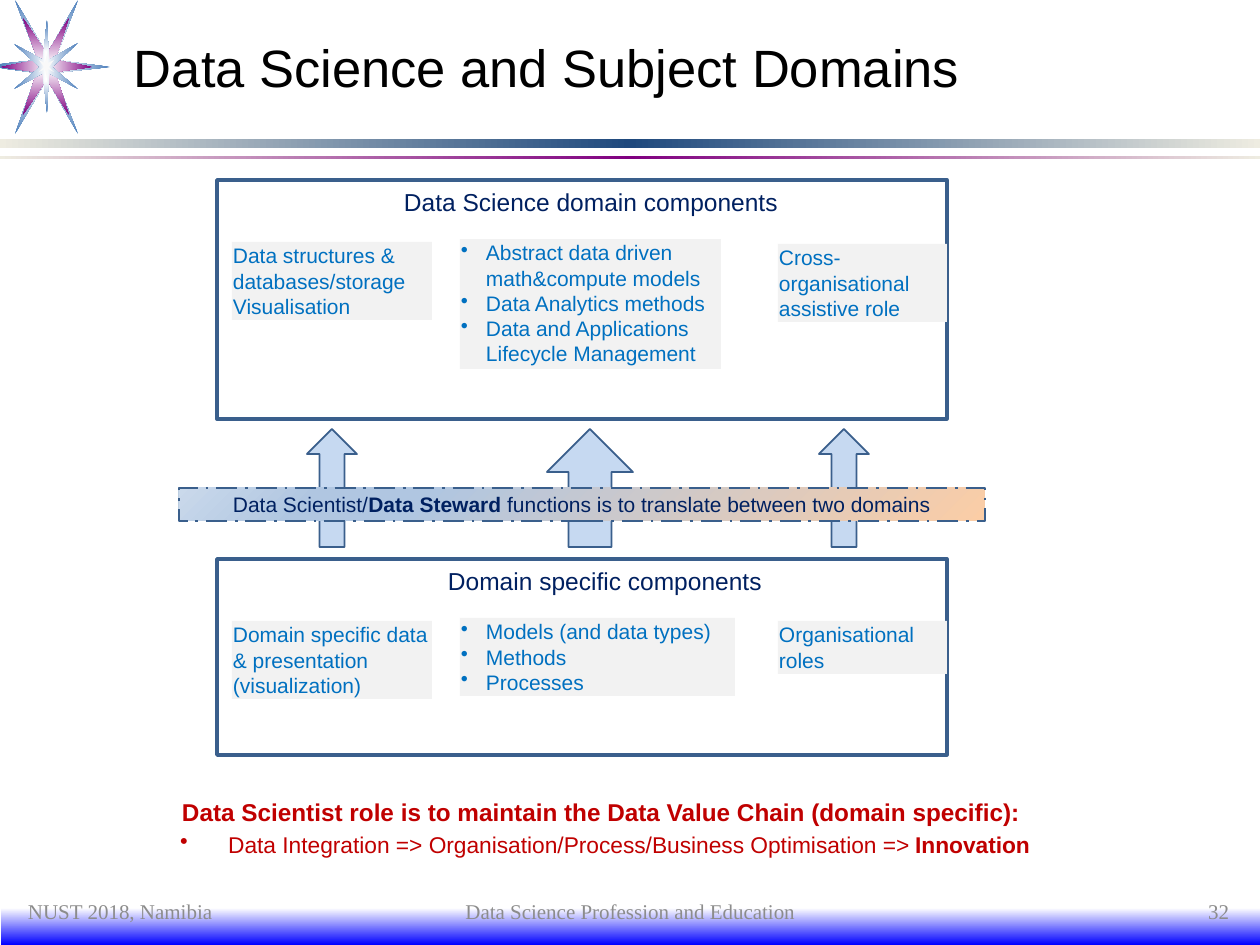
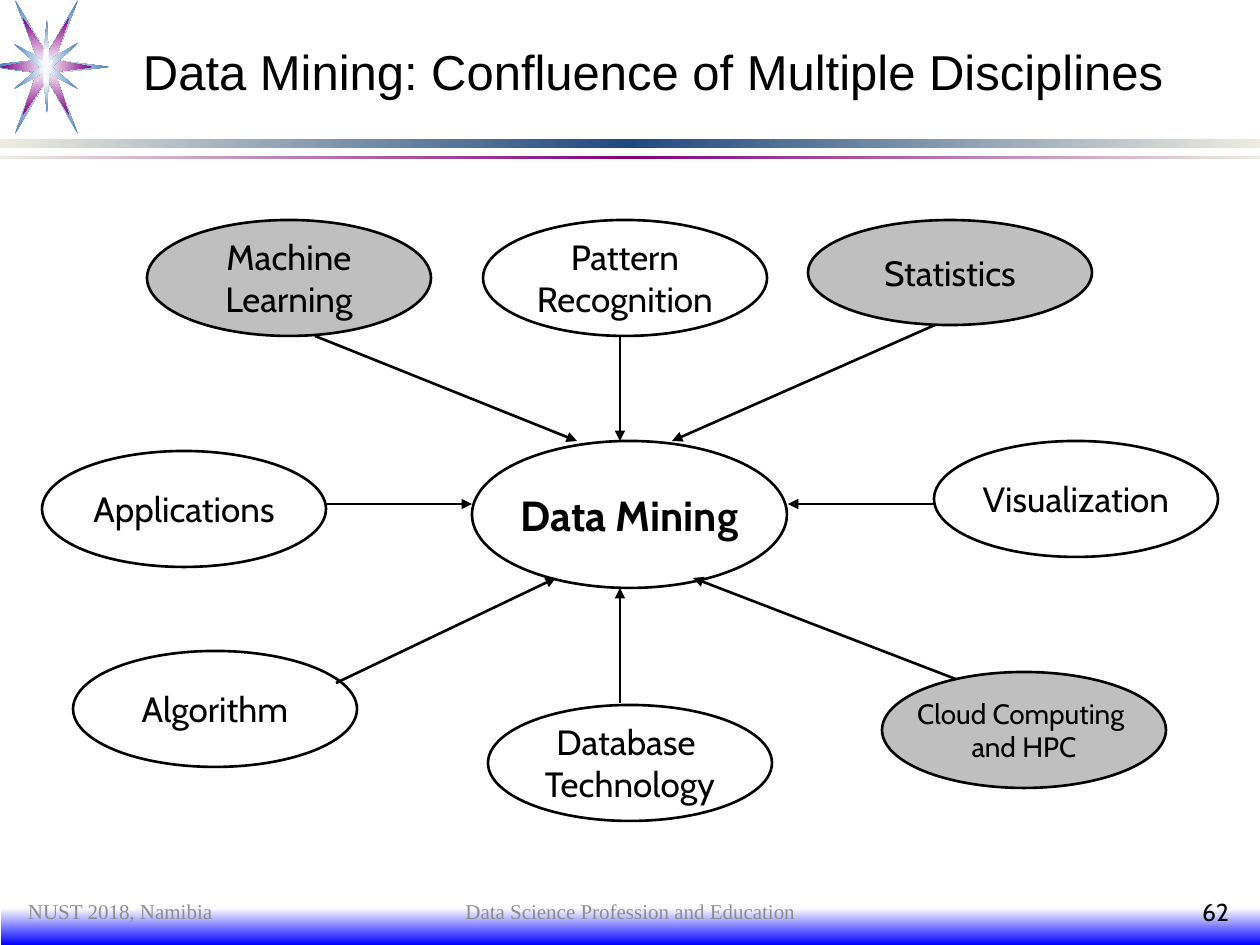
import dataclasses

import pptx
import pptx.dml.color
import pptx.enum.dml
import pptx.enum.shapes
import pptx.enum.text
import pptx.oxml
import pptx.oxml.ns
import pptx.util

PX = 914400 / 126  # EMU in one px
SHAPE = pptx.enum.shapes.MSO_SHAPE
ALIGN = pptx.enum.text.PP_ALIGN
ANCHOR = pptx.enum.text.MSO_ANCHOR
RGB = pptx.dml.color.RGBColor.from_string
qn = pptx.oxml.ns.qn


@dataclasses.dataclass(frozen=True)
class Theme:
    sans: str = "Arial"
    diagram: str = "Cabin"
    serif: str = "Times New Roman"
    black: str = "000000"
    white: str = "FFFFFF"
    footer_grey: str = "8C8C8C"
    card_grey: str = "F2F2F2"
    focus_grey: str = "BFBFBF"
    navy: str = "002060"
    card_blue: str = "0070C0"
    outline_blue: str = "3A5F8C"
    arrow_blue: str = "C6D9F1"
    red: str = "C00000"
    footer_fade: tuple = ((0, "FFFFFF"), (100, "0000FF"))
    blue_band: tuple = ((0, "EEECE1"), (50, "1F497D"), (100, "EEECE1"))
    purple_band: tuple = ((0, "EEECE1"), (50, "800080"), (100, "EEECE1"))
    blue_star: tuple = ((0, "FFFFFF"), (100, "4F81BD"))
    purple_star: tuple = ((0, "FFFFFF"), (100, "800080"))
    star_core: str = "F9F9F9"
    bridge_fade: tuple = ((0, "FBCDA6"), (70, "B0C6E1"), (83, "B0C6E1"), (100, "CAD9EB"))
    domains_title: int = 30
    mining_title: int = 28
    small: int = 12
    heading: int = 14
    role: float = 13.9
    chain: int = 13
    hub: int = 24
    discipline: int = 20
    long_discipline: int = 16


THEME = Theme()


def draw(slide, outline, box=None, fill=None, angle=None, line=None, width=1.5):
    """Add a preset shape, a text box (outline None) or a polygon (outline a list of points).

    A tuple of stops as fill gives a gradient, linear at angle or from the centre without one.
    """
    frame = [round(v * PX) for v in box or ()]
    if outline is None:
        return slide.shapes.add_textbox(*frame)
    if isinstance(outline, list):
        builder = slide.shapes.build_freeform(*outline[0], scale=PX)
        builder.add_line_segments(outline[1:], close=True)
        shape = builder.convert_to_shape()
    else:
        shape = slide.shapes.add_shape(outline, *frame)
    shape.shadow.inherit = False
    if fill is None:
        shape.fill.background()
    elif isinstance(fill, str):
        shape.fill.solid()
        shape.fill.fore_color.rgb = RGB(fill)
    else:
        shape.fill.gradient()
        stops = "".join(f'<a:gs pos="{pos * 1000}"><a:srgbClr val="{colour}"/></a:gs>'
                        for pos, colour in fill)
        course = (f'<a:lin ang="{angle * 60000}" scaled="0"/>' if angle is not None else
                  '<a:path path="rect"><a:fillToRect l="50000" t="50000" r="50000" b="50000"/></a:path>')
        gradient = shape.element.spPr.find(qn("a:gradFill"))
        gradient.getparent().replace(gradient, pptx.oxml.parse_xml(
            f'<a:gradFill {pptx.oxml.ns.nsdecls("a")} rotWithShape="1">'
            f"<a:gsLst>{stops}</a:gsLst>{course}</a:gradFill>"))
    if line:
        shape.line.color.rgb = RGB(line)
        shape.line.width = pptx.util.Pt(width)
    else:
        shape.line.fill.background()
    return shape


def write(shape, *paragraphs, font=THEME.sans, size=THEME.small, colour=THEME.black,
          align=ALIGN.LEFT, anchor=ANCHOR.TOP, inset=(13, 6), wrap=True, hanging=0, before=0):
    """Append paragraphs to the shape; text between ** marks is bold, hanging (px) adds bullets."""
    frame = shape.text_frame
    frame.word_wrap = wrap
    frame.vertical_anchor = anchor
    frame.margin_left = frame.margin_right = round(inset[0] * PX)
    frame.margin_top = frame.margin_bottom = round(inset[1] * PX)
    for text in paragraphs:
        paragraph = frame.add_paragraph() if frame.text else frame.paragraphs[0]
        paragraph.alignment = align
        if before:
            paragraph.space_before = pptx.util.Pt(before)
        if hanging:
            properties = paragraph._p.get_or_add_pPr()
            properties.set("marL", str(round(hanging * PX)))
            properties.set("indent", str(-round(hanging * PX)))
            properties.append(pptx.oxml.parse_xml(
                f'<a:buChar {pptx.oxml.ns.nsdecls("a")} char="•"/>'))
        for index, piece in enumerate(text.split("**")):
            if piece:
                run = paragraph.add_run()
                run.text = piece
                run.font.name = font
                run.font.size = pptx.util.Pt(size)
                run.font.bold = index % 2 == 1
                run.font.color.rgb = RGB(colour)


deck = pptx.Presentation()
deck.slide_width, deck.slide_height = round(1260 * PX), round(945 * PX)
domains_slide, mining_slide = [deck.slides.add_slide(deck.slide_layouts[6]) for _ in range(2)]

# Shared bands, star, title and footer
star_layers = [
    ([(38, 60), (15, 0), (47, 54), (78, 0), (55, 60), (110, 67), (54, 73), (78, 134),
      (47, 79), (15, 134), (37, 73), (0, 68), (0, 64)], THEME.blue_star),
    ([(38, 60), (23, 18), (47, 54), (69, 18), (55, 60), (92, 67), (55, 72), (69, 115),
      (47, 79), (23, 115), (37, 72), (1, 67)], THEME.purple_star),
    ([(14, 44), (43, 60), (47, 20), (49, 60), (78, 43), (52, 67), (78, 89), (49, 73),
      (47, 113), (43, 73), (14, 89), (40, 67)], THEME.blue_star),
    ([(39, 60), (45, 63), (47, 54), (48, 63), (54, 60), (49, 67), (54, 72), (48, 69),
      (47, 78), (45, 69), (39, 72), (44, 67)], THEME.star_core),
]
bands = [
    ((1, 908, 1259, 37), THEME.footer_fade, 90),
    ((0, 139, 1260, 9), THEME.blue_band, 0),
    ((0, 156, 1260, 3), THEME.purple_band, 0),
]
footer_style = dict(font=THEME.serif, size=THEME.small, colour=THEME.footer_grey)
mining_number_style = dict(font=THEME.diagram, size=THEME.heading, colour=THEME.black)
headers = [
    (domains_slide, "Data Science and Subject Domains", (124, 20, 1074, 93),
     THEME.domains_title, 10, "32", footer_style),
    (mining_slide, "Data Mining: Confluence of Multiple Disciplines", (130, 18, 1110, 105),
     THEME.mining_title, 13, "62", mining_number_style),
]
for slide, title, title_box, title_size, title_inset, number, number_style in headers:
    for band_box, fade, angle in bands:
        draw(slide, SHAPE.RECTANGLE, band_box, fade, angle)
    for points, layer_fill in star_layers:
        draw(slide, points, fill=layer_fill)
    write(draw(slide, None, title_box), title, size=title_size, anchor=ANCHOR.MIDDLE,
          inset=(title_inset, 6))
    for text, left, width, align, style in [
        ("NUST 2018, Namibia", 15, 294, ALIGN.LEFT, footer_style),
        ("Data Science Profession and Education", 431, 399, ALIGN.CENTER, footer_style),
        (number, 948, 294, ALIGN.RIGHT, number_style),
    ]:
        write(draw(slide, None, (left, 894, width, 35)), text, align=align,
              anchor=ANCHOR.MIDDLE, **style)

# Data Science and Subject Domains: two domains joined by a bridge
domains = [
    ("Domain specific components", 559, 196, None, 605, [
        ((232, 62, 200, 78), 0, ["Domain specific data & presentation", "(visualization)"]),
        ((460, 59, 275, 78), 25, ["Models (and data types)", "Methods", "Processes"]),
        ((778, 62, 169, 53), 0, ["Organisational", "roles"]),
    ]),
    ("Data Science domain components", 180, 239, THEME.white, 591, [
        ((232, 62, 200, 78), 0, ["Data structures & databases/storage", "Visualisation"]),
        ((460, 59, 261, 130), 25, ["Abstract data driven math&compute models",
                                   "Data Analytics methods",
                                   "Data and Applications Lifecycle Management"]),
        ((778, 64, 169, 78), 0, ["Cross-organisational", "assistive role"]),
    ]),
]
for heading, top, height, fill, heading_centre, cards in domains:
    draw(domains_slide, SHAPE.RECTANGLE, (217, top, 730, height), fill,
         line=THEME.outline_blue, width=2)
    write(draw(domains_slide, None, (heading_centre - 250, top + 1, 500, 43)), heading,
          size=THEME.heading, colour=THEME.navy, align=ALIGN.CENTER)
    for (left, offset, width, card_height), hanging, lines in cards:
        card = draw(domains_slide, SHAPE.RECTANGLE, (left, top + offset, width, card_height),
                    THEME.card_grey)
        write(card, *lines, colour=THEME.card_blue, inset=(1, 1), hanging=hanging)

for arrow_centre, arrow_width in [(332, 50), (590, 86), (844, 50)]:
    draw(domains_slide, SHAPE.UP_ARROW, (arrow_centre - arrow_width // 2, 429, arrow_width, 118),
         THEME.arrow_blue, line=THEME.outline_blue, width=1)

bridge = draw(domains_slide, SHAPE.RECTANGLE, (179, 488, 806, 33), THEME.bridge_fade, 225,
              line=THEME.outline_blue)
bridge.line.dash_style = pptx.enum.dml.MSO_LINE.LONG_DASH_DOT
write(bridge, "Data Scientist/**Data Steward** functions is to translate between two domains",
      colour=THEME.navy, align=ALIGN.CENTER, anchor=ANCHOR.MIDDLE)

value_chain = draw(domains_slide, None, (101, 791, 1008, 67))
write(value_chain, "**Data Scientist role is to maintain the Data Value Chain (domain specific): **",
      size=THEME.role, colour=THEME.red, align=ALIGN.CENTER)
write(value_chain,
      "Data Integration => Organisation/Process/Business Optimisation => **Innovation**",
      size=THEME.chain, colour=THEME.red, align=ALIGN.CENTER, hanging=48, before=2.6)

# Data Mining: disciplines around a hub
node_style = dict(font=THEME.diagram, align=ALIGN.CENTER, anchor=ANCHOR.MIDDLE, wrap=False)
hub = draw(mining_slide, SHAPE.OVAL, (472, 441, 315, 147), line=THEME.black)
write(hub, "**Data Mining**", size=THEME.hub, **node_style)

for arrow_ends in [
    (325, 504, 472, 504), (315, 336, 577, 441), (935, 325, 672, 441), (935, 504, 788, 504),
    (966, 683, 693, 578), (336, 683, 556, 578), (620, 703, 620, 588), (620, 336, 620, 441),
]:
    arrow = mining_slide.shapes.add_connector(
        pptx.enum.shapes.MSO_CONNECTOR.STRAIGHT, *[round(v * PX) for v in arrow_ends])
    arrow.line.color.rgb = RGB(THEME.black)
    arrow.line.width = pptx.util.Pt(1.5)
    properties = arrow.element.spPr
    properties.find(qn("a:ln")).append(pptx.oxml.parse_xml(
        f'<a:tailEnd {pptx.oxml.ns.nsdecls("a")} type="triangle"/>'))
    properties.append(pptx.oxml.parse_xml(f'<a:effectLst {pptx.oxml.ns.nsdecls("a")}/>'))

for lines, left, top, height, fill, size in [
    (["Machine", "Learning"], 147, 220, 116, THEME.focus_grey, THEME.discipline),
    (["Pattern", "Recognition"], 483, 220, 116, None, THEME.discipline),
    (["Statistics"], 808, 220, 105, THEME.focus_grey, THEME.discipline),
    (["Applications"], 42, 451, 116, None, THEME.discipline),
    (["Visualization"], 934, 441, 116, None, THEME.discipline),
    (["Algorithm"], 73, 651, 116, None, THEME.discipline),
    (["Database ", "Technology"], 488, 705, 116, None, THEME.discipline),
    (["Cloud Computing ", "and HPC"], 882, 672, 116, THEME.focus_grey, THEME.long_discipline),
]:
    discipline = draw(mining_slide, SHAPE.OVAL, (left, top, 284, height), fill, line=THEME.black)
    write(discipline, *lines, size=size, **node_style)

deck.save("out.pptx")
